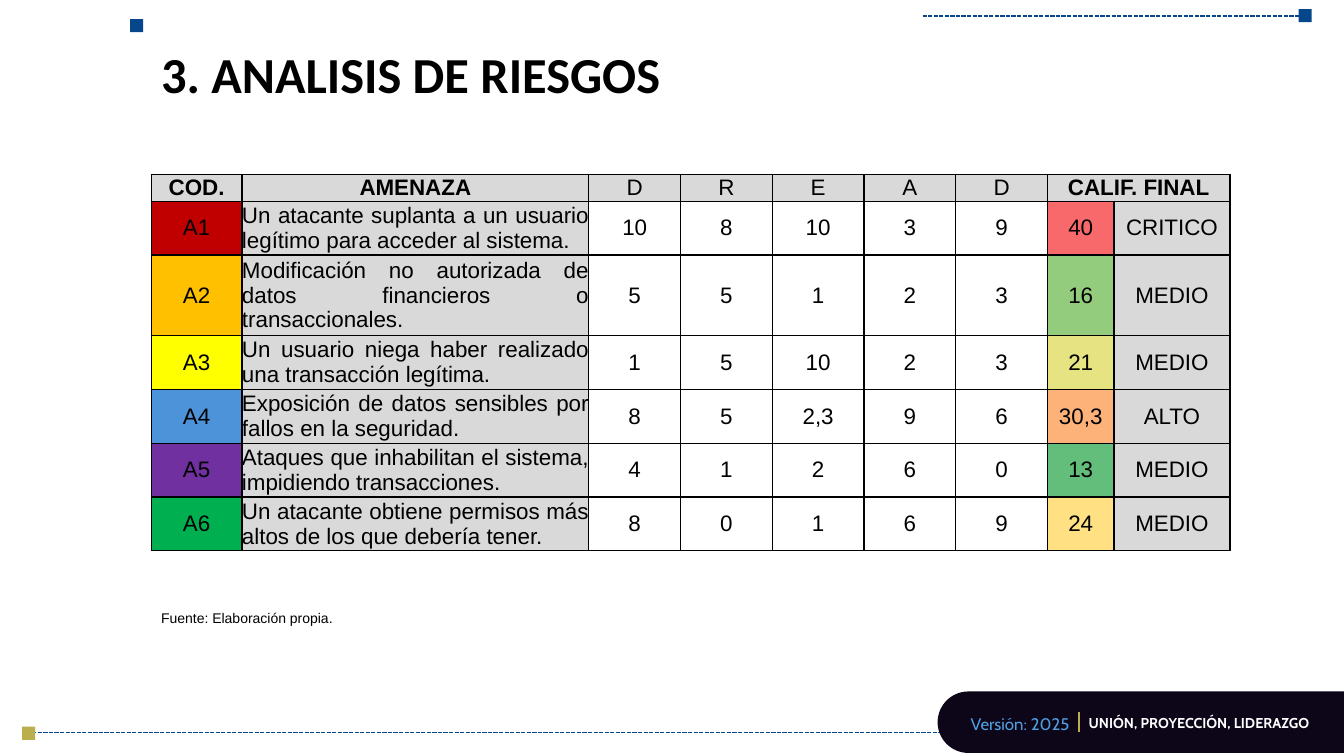
import math
from dataclasses import dataclass

from lxml import etree
from pptx import Presentation
from pptx import util as u
from pptx.dml.color import RGBColor
from pptx.enum import dml, shapes, text
from pptx.oxml import ns


@dataclass(frozen=True)
class Theme:
    blue: str = "06478B"
    gold: str = "BAAF4C"
    dark: str = "0D0619"
    sky: str = "50A0E0"
    white: str = "FFFFFF"
    black: str = "000000"
    grey: str = "D9D9D9"
    head: str = "Calibri"
    body: str = "Arial"
    brand: str = "Cabin"
    title: float = 36
    cell: float = 16
    label: float = 12
    motto: float = 10.2
    note: float = 10


T = Theme()
PX = 9144  # 100 px to the inch
ALIGN = text.PP_ALIGN

HEAD = ["COD.", "AMENAZA", *"DREAD", "CALIF. FINAL", ""]
RISKS = [
    ("C00000", "Un atacante suplanta a un usuario legítimo para acceder al sistema.",
     "10 8 10 3 9", "40", "F8696B", "CRITICO"),
    ("FFC000", "Modificación no autorizada de datos financieros o transaccionales.",
     "5 5 1 2 3", "16", "94CC7D", "MEDIO"),
    ("FFFF00", "Un usuario niega haber realizado una transacción legítima.",
     "1 5 10 2 3", "21", "E6E382", "MEDIO"),
    ("4D93D9", "Exposición de datos sensibles por fallos en la seguridad.",
     "8 5 2,3 9 6", "30,3", "FCB279", "ALTO"),
    ("7030A0", "Ataques que inhabilitan el sistema, impidiendo transacciones.",
     "4 1 2 6 0", "13", "63BE7B", "MEDIO"),
    ("00B050", "Un atacante obtiene permisos más altos de los que debería tener.",
     "8 0 1 6 9", "24", "FFE082", "MEDIO"),
]
COLS = [90, 344, *[91] * 5, 66, 115]
LINES = [1, 2, 3, 2, 2, 2, 2]  # lines of text in each row
ROWS = [25 * n for n in LINES]


def emu(*vals):
    return [u.Emu(round(v * PX)) for v in vals]


def assign(obj, vals):
    for key, val in vals.items():
        setattr(obj, key, val)


def paint(shape, color):
    shape.shadow.inherit = False
    shape.fill.solid()
    shape.fill.fore_color.rgb = RGBColor.from_string(color)
    shape.line.fill.background()


def write(para, words, face, size, color, bold=False, **form):
    para.add_run().text = words
    assign(para, form)
    assign(para.font, {"name": face, "size": u.Pt(size), "bold": bold})
    para.font.color.rgb = RGBColor.from_string(color)


def label(slide, box, words, face, size, color, bold=False, gap=1.0, **frame):
    body = slide.shapes.add_textbox(*emu(*box)).text_frame
    assign(body, {"word_wrap": True, **frame})
    write(body.paragraphs[0], words, face, size, color, bold, line_spacing=gap)


def square(slide, left, top, color):
    paint(slide.shapes.add_shape(shapes.MSO_SHAPE.RECTANGLE, *emu(left, top, 13, 13)), color)


def rule(slide, ends, color, width, dash=None):
    line = slide.shapes.add_connector(shapes.MSO_CONNECTOR.STRAIGHT, *emu(*ends))
    etree.SubElement(line._element.spPr, ns.qn("a:effectLst"))
    line.line.color.rgb = RGBColor.from_string(color)
    assign(line.line, {"width": u.Pt(width), "dash_style": dash})


def frame(slide, wide):
    """Dashed rules and small squares along the edges of the slide."""
    end = wide - 45
    dash = dml.MSO_LINE.SQUARE_DOT
    rule(slide, (32, 727, end, 727), T.blue, 1, dash)
    square(slide, 22, 721, T.gold)
    rule(slide, (915, 16, end + 7, 16), T.blue, 1, dash)
    square(slide, end, 9, T.blue)
    square(slide, 129, 19, T.blue)


def banner(slide, left, top, wide, high):
    """Dark tab with a round left end, holding the version and the motto."""
    rad = high / 2
    turns = [math.radians(90 + 5 * i) for i in range(37)]
    arc = [emu(left + rad + rad * math.cos(a), top + rad - rad * math.sin(a)) for a in turns]
    side = [emu(left + wide, top + high), emu(left + wide, top)]
    pen = slide.shapes.build_freeform(*arc[0], scale=1.0)
    pen.add_line_segments(arc[1:] + side, close=True)
    paint(pen.convert_to_shape(), T.dark)
    label(slide, (left + 23, top + 19, 196, 33), "Versión: 2025",
          T.brand, T.label, T.sky, gap=0.9)
    label(slide, (left + 140, top + 21, 253, 33), "UNIÓN, PROYECCIÓN, LIDERAZGO",
          T.brand, T.motto, T.white, True, gap=0.8)
    rule(slide, (left + 140, top + 20, left + 140, top + 40), T.gold, 1.5)


def edge(cell):
    """Draw all four borders of a cell."""
    props = cell._tc.get_or_add_tcPr()
    for side in ("lnL", "lnR", "lnT", "lnB"):
        line = etree.SubElement(props, ns.qn("a:" + side), w=str(u.Pt(1)))
        fill = etree.SubElement(line, ns.qn("a:solidFill"))
        etree.SubElement(fill, ns.qn("a:srgbClr"), val=T.black)


def fill_cell(cell, words, color, bold=False, align=ALIGN.CENTER):
    edge(cell)
    if color:
        cell.fill.solid()
        cell.fill.fore_color.rgb = RGBColor.from_string(color)
    else:
        cell.fill.background()
    assign(cell, {"margin_left": 0, "margin_right": 0, "margin_top": 0,
                  "margin_bottom": 0, "vertical_anchor": text.MSO_ANCHOR.MIDDLE})
    para = cell.text_frame.paragraphs[0]
    if words:
        write(para, words, T.body, T.cell, T.black, bold, alignment=align)
    else:
        para.font.size = u.Pt(T.cell)


def risk_table(slide, left, top):
    box = emu(left, top, sum(COLS), sum(ROWS))
    grid = slide.shapes.add_table(len(ROWS), len(COLS), *box).table
    assign(grid, {"first_row": False, "horz_banding": False})
    for col, wide in zip(grid.columns, emu(*COLS)):
        col.width = wide
    for row, high in zip(grid.rows, emu(*ROWS)):
        row.height = high
    for c, words in enumerate(HEAD):
        fill_cell(grid.cell(0, c), words, T.grey, len(words) > 1)
    grid.cell(0, 7).merge(grid.cell(0, 8))
    for r, (code, threat, marks, total, heat, level) in enumerate(RISKS, 1):
        words = [f"A{r}", threat, *marks.split(), total, level]
        fills = [code, T.grey, *[None] * 5, heat, T.grey]
        for c, (word, color) in enumerate(zip(words, fills)):
            align = ALIGN.JUSTIFY if c == 1 else ALIGN.CENTER
            fill_cell(grid.cell(r, c), word, color, align=align)


def main():
    deck = Presentation()
    wide, high = 1333, 750
    deck.slide_width, deck.slide_height = emu(wide, high)
    slide = deck.slides.add_slide(deck.slide_layouts[6])
    frame(slide, wide)
    banner(slide, 930, 686, wide - 930, 61)
    label(slide, (150, -15, 1033, 124), "3. ANALISIS DE RIESGOS", T.head, T.title,
          T.black, True, gap=0.9, vertical_anchor=text.MSO_ANCHOR.BOTTOM)
    risk_table(slide, 150, 173)
    label(slide, (150, 583, 668, 39), "Fuente: Elaboración propia.", T.body, T.note,
          T.black, gap=2.0, auto_size=text.MSO_AUTO_SIZE.SHAPE_TO_FIT_TEXT)
    deck.save("out.pptx")


if __name__ == "__main__":
    main()
